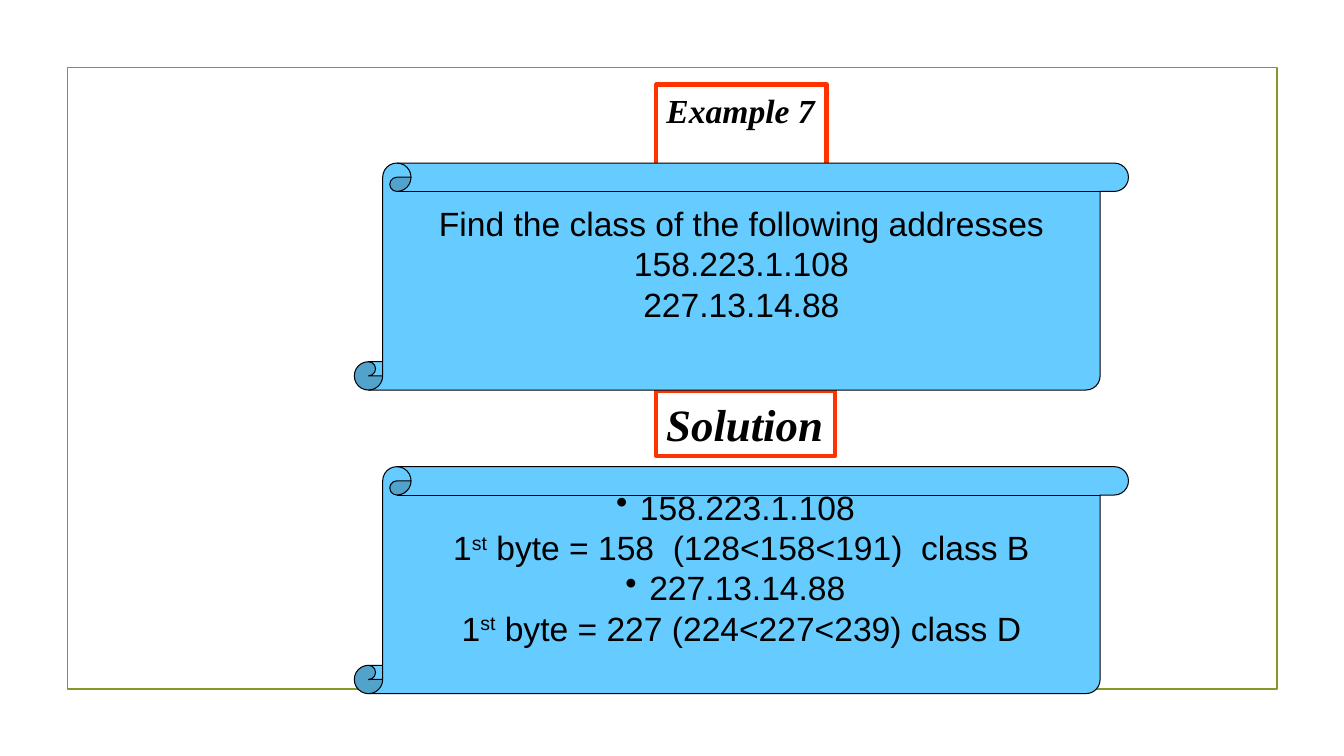
"""Build the slide that finds the class of two network addresses."""
from dataclasses import dataclass

from lxml.etree import SubElement
from pptx import Presentation
from pptx.dml.color import RGBColor as RGB
from pptx.enum.shapes import MSO_SHAPE as Shape
from pptx.enum.text import MSO_ANCHOR as Anchor, MSO_AUTO_SIZE as Fit, PP_ALIGN as Align
from pptx.oxml.ns import qn
from pptx.util import Cm, Pt


@dataclass(frozen=True)
class Theme:
    """Colours, fonts and sizes."""
    ink: RGB = RGB(0, 0, 0)
    paper: RGB = RGB(255, 255, 255)
    olive: RGB = RGB(0x83, 0x99, 0x2A)
    red: RGB = RGB(0xFF, 0x33, 0)
    sky: RGB = RGB(0x66, 0xCC, 0xFF)
    serif: str = "Times New Roman"
    sans: str = "Arial"
    body: int = 24
    large: int = 32


class Deck:
    """Holds the theme and the current slide."""

    def __init__(self, theme):
        """Start a deck with one title-only slide."""
        self.theme = theme
        self.file = Presentation()
        self.file.slide_width, self.file.slide_height = Cm(33.87), Cm(19.05)
        self.slide = self.file.slides.add_slide(self.file.slide_layouts[5])

    def shape(self, kind, box):
        """Add a flat preset shape."""
        item = self.slide.shapes.add_shape(kind, *map(Cm, box))
        item.shadow.inherit = False
        return item

    def paint(self, item, line, width, fill=None):
        """Set the fill and outline."""
        if fill is None:
            item.fill.background()
        else:
            item.fill.solid()
            item.fill.fore_color.rgb = fill
        item.line.color.rgb = line
        item.line.width = Pt(width)

    def run(self, para, text, face, size):
        """Add one run of text."""
        run = para.add_run()
        run.text = text
        font = run.font
        font.name, font.size = face, Pt(size)
        font.color.rgb = self.theme.ink
        return run

    def frame(self, box):
        """Draw the border of the slide."""
        self.paint(self.shape(Shape.RECTANGLE, box), self.theme.olive, 1.25)

    def label(self, item, text, size):
        """Format a heading in a red box."""
        self.paint(item, self.theme.red, 3, self.theme.paper)
        frame = item.text_frame
        frame.word_wrap = False
        frame.auto_size = Fit.SHAPE_TO_FIT_TEXT
        frame.vertical_anchor = Anchor.TOP
        para = frame.paragraphs[0]
        para.alignment = Align.LEFT
        run = self.run(para, text, self.theme.serif, size)
        run.font.bold = run.font.italic = True

    def title(self, box, text):
        """Place the slide title."""
        item = self.slide.shapes.title
        item.left, item.top, item.width, item.height = map(Cm, box)
        self.label(item, text, self.theme.body)

    def head(self, box, text):
        """Add a second heading."""
        self.label(self.shape(Shape.RECTANGLE, box), text, self.theme.large)

    def scroll(self, box, rows):
        """Add a scroll; each row is a bullet flag and its runs."""
        item = self.shape(Shape.VERTICAL_SCROLL, box)
        self.paint(item, self.theme.ink, 0.75, self.theme.sky)
        frame = item.text_frame
        frame.word_wrap = False
        frame.vertical_anchor = Anchor.MIDDLE
        frame.margin_bottom = Cm(1.14)
        for index, (bullet, parts) in enumerate(rows):
            para = frame.add_paragraph() if index else frame.paragraphs[0]
            para.alignment = Align.CENTER
            if bullet:
                SubElement(para._p.get_or_add_pPr(), qn("a:buChar")).set("char", "•")
            for text, raised in parts:
                run = self.run(para, text, self.theme.sans, self.theme.body)
                if raised:
                    run.font._element.set("baseline", "30000")

    def save(self):
        """Write the file."""
        self.file.save("out.pptx")


def plain(text, bullet=False):
    """Make a row of one run."""
    return bullet, [(text, False)]


def byte(text):
    """Make a row about the first byte."""
    return False, [("1", False), ("st", True), (text, False)]


def main():
    """Build and save the slide."""
    hosts = "158.223.1.108", "227.13.14.88"
    notes = " byte = 158  (128<158<191)  class B", " byte = 227 (224<227<239) class D"
    task = [plain("Find the class of the following addresses"), *map(plain, hosts)]
    answer = [row for host, note in zip(hosts, notes)
              for row in (plain(host, True), byte(note))]

    deck = Deck(Theme())
    deck.frame((1.7, 1.7, 30.48, 15.67))
    deck.title((16.54, 2.13, 4.29, 1.27), "Example 7")
    deck.head((16.54, 9.86, 4.5, 1.63), "Solution")
    for top, rows in ((4.11, task), (11.76, answer)):
        deck.scroll((8.93, top, 19.51, 5.72), rows)
    deck.save()


if __name__ == "__main__":
    main()
